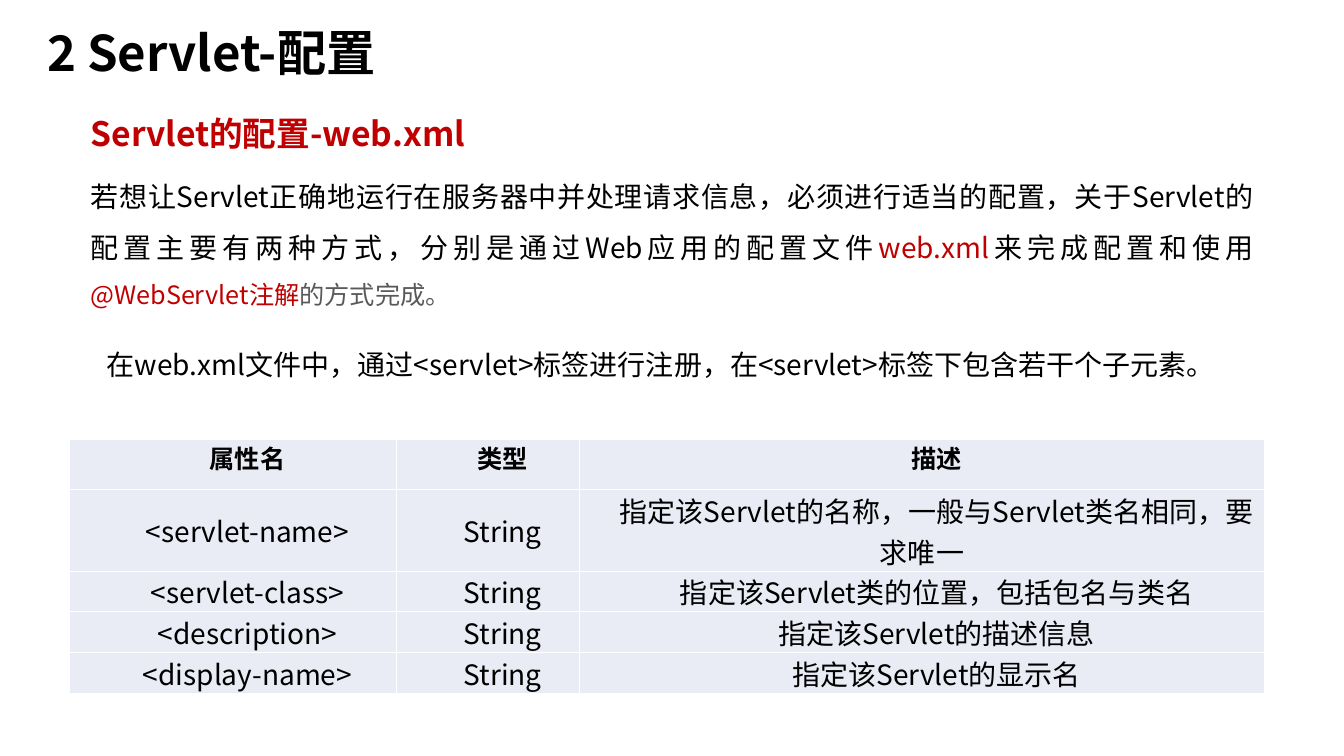
from lxml.etree import SubElement
from pptx import Presentation
from pptx.dml.color import RGBColor
from pptx.enum.text import MSO_ANCHOR as Anchor, MSO_AUTO_SIZE as AutoSize, PP_ALIGN as Align
from pptx.oxml.ns import qn
from pptx.util import Inches, Pt

BLACK = RGBColor(0x00, 0x00, 0x00)
RED = RGBColor(0xC0, 0x00, 0x00)
GRAY = RGBColor(0x59, 0x59, 0x59)
WHITE = RGBColor(0xFF, 0xFF, 0xFF)
CELL_FILL = RGBColor(0xE9, 0xEB, 0xF5)

INTRO = [
    ("若想让Servlet正确地运行在服务器中并处理请求信息，必须进行适当的配置，关于Servlet"
     "的配置主要有两种方式，分别是通过Web应用的配置文件", 20, BLACK),
    ("web.xml", 20, RED),
    ("来完成配置和使用", 20, BLACK),
    ("@WebServlet注解", 18, RED),
    ("的方式完成。", 18, GRAY),
]
ATTRIBUTES = [
    ("属性名", "类型", "描述"),
    ("<servlet-name>", "String", "指定该Servlet的名称，一般与Servlet类名相同，要求唯一"),
    ("<servlet-class>", "String", "指定该Servlet类的位置，包括包名与类名"),
    ("<description>", "String", "指定该Servlet的描述信息"),
    ("<display-name>", "String", "指定该Servlet的显示名"),
]
COLUMN_WIDTHS = [3.24, 1.82, 6.79]
ROW_HEIGHTS = [0.5, 0.79, 0.39, 0.39, 0.39]


class SlideBuilder:
    """Holds the font and the current slide and adds text and tables to it."""

    def __init__(self, slide, font_name):
        self.slide = slide
        self.font_name = font_name

    def style(self, font, size, color, bold=False):
        font.size, font.bold, font.name = Pt(size), bold, self.font_name
        font.color.rgb = color
        east_asian = SubElement(font._element, qn("a:ea"))
        east_asian.set("typeface", self.font_name)

    def text(self, box, runs, spacing=1.0, align=Align.LEFT, bold=False, anchor=Anchor.TOP):
        shape = self.slide.shapes.add_textbox(*map(Inches, box))
        frame = shape.text_frame
        frame.word_wrap = True
        frame.auto_size = AutoSize.NONE
        frame.vertical_anchor = anchor
        paragraph = frame.paragraphs[0]
        paragraph.alignment, paragraph.line_spacing = align, spacing
        if len(runs) == 1:
            content, size, color = runs[0]
            paragraph.text = content
            self.style(paragraph.font, size, color, bold)
            return
        for content, size, color in runs:
            run = paragraph.add_run()
            run.text = content
            self.style(run.font, size, color, bold)

    def border(self, cell):
        properties = cell._tc.get_or_add_tcPr()
        for side in ("lnL", "lnR", "lnT", "lnB"):
            line = SubElement(properties, qn(f"a:{side}"), w=str(Pt(1)))
            fill = SubElement(line, qn("a:solidFill"))
            SubElement(fill, qn("a:srgbClr"), val=str(WHITE))

    def cell(self, cell, content, header, anchor):
        cell.margin_left = cell.margin_right = Inches(0.07)
        cell.margin_top = cell.margin_bottom = 0
        cell.vertical_anchor = anchor
        self.border(cell)
        cell.fill.solid()
        cell.fill.fore_color.rgb = CELL_FILL
        paragraph = cell.text_frame.paragraphs[0]
        paragraph.text = content
        paragraph.alignment = Align.CENTER
        properties = paragraph._p.get_or_add_pPr()
        properties.set("marL", "0")
        properties.set("indent", str(Inches(0.29)))
        self.style(paragraph.font, 18 if header else 20, BLACK, header)

    def table(self, left, top, widths, heights, rows):
        frame = self.slide.shapes.add_table(
            len(rows), len(widths), Inches(left), Inches(top),
            Inches(sum(widths)), Inches(sum(heights)))
        table = frame.table
        table.horz_banding = False
        for column, width in zip(table.columns, widths):
            column.width = Inches(width)
        for i, (row, height) in enumerate(zip(table.rows, heights)):
            row.height = Inches(height)
            for j, cell in enumerate(row.cells):
                anchor = Anchor.MIDDLE if i == 1 and j < 2 else Anchor.TOP
                self.cell(cell, rows[i][j], i == 0, anchor)


def main():
    presentation = Presentation()
    presentation.slide_width, presentation.slide_height = Inches(13.33), Inches(7.5)
    slide = presentation.slides.add_slide(presentation.slide_layouts[6])
    builder = SlideBuilder(slide, "Noto Sans CJK SC")
    builder.text((0.37, 0.16, 5.69, 0.78), [("2 Servlet-配置", 35.1, BLACK)],
                 spacing=0.9, bold=True, anchor=Anchor.MIDDLE)
    builder.text((0.8, 1.57, 11.73, 1.53), INTRO, spacing=1.5, align=Align.JUSTIFY)
    builder.text((0.96, 3.23, 11.36, 0.76),
                 [("在web.xml文件中，通过<servlet>标签进行注册，在<servlet>标签下包含若干个子元素。", 20, BLACK)],
                 spacing=1.5)
    builder.table(0.69, 4.36, COLUMN_WIDTHS, ROW_HEIGHTS, ATTRIBUTES)
    builder.text((0.8, 1.07, 6.67, 0.5), [("Servlet的配置-web.xml", 24, RED)], bold=True)
    presentation.save("out.pptx")


if __name__ == "__main__":
    main()
